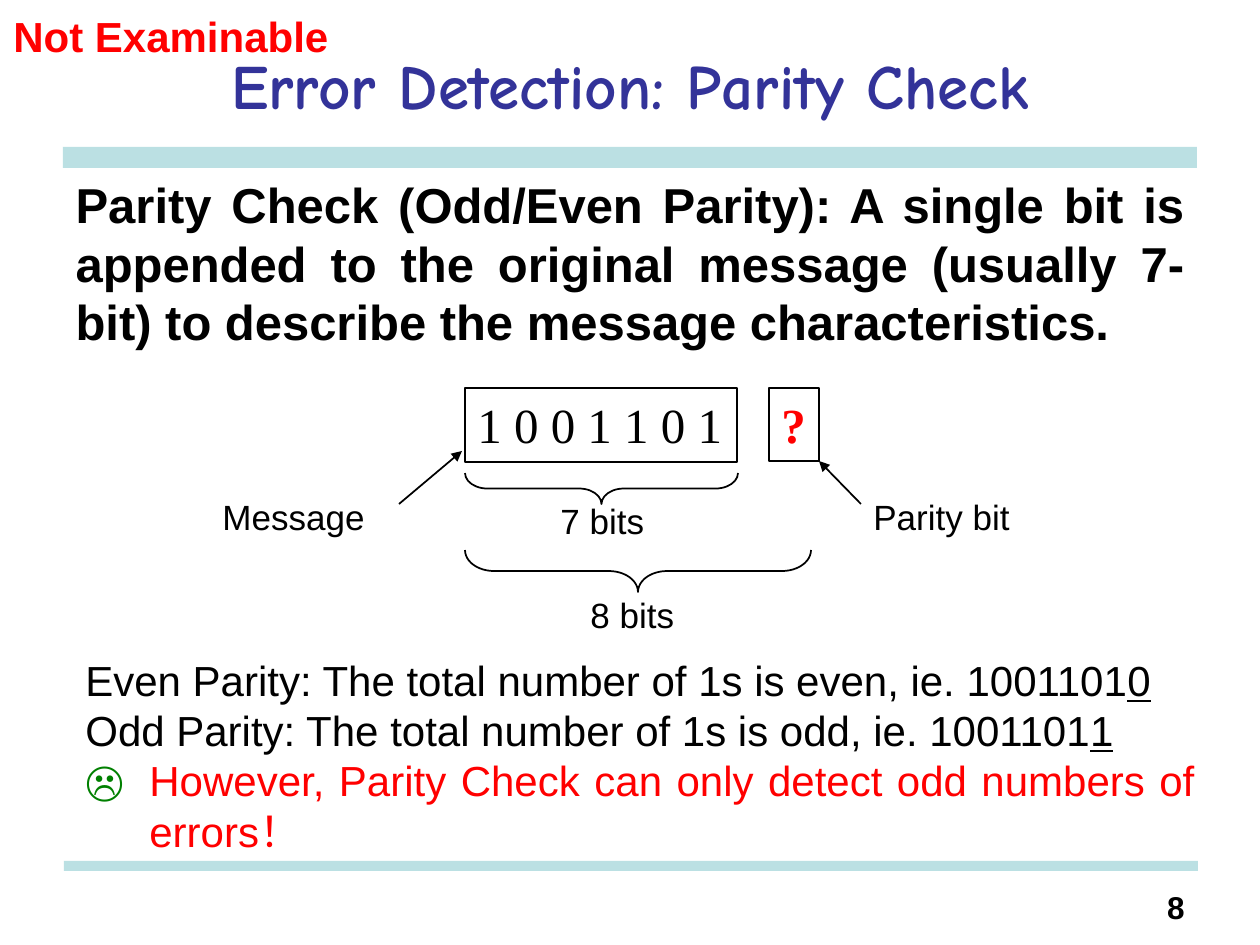
from lxml.etree import SubElement
from pptx import Presentation
from pptx.dml.color import RGBColor
from pptx.enum.shapes import MSO_CONNECTOR as CONN, MSO_SHAPE as SHAPE
from pptx.enum.text import MSO_ANCHOR as ANCHOR, MSO_AUTO_SIZE as FIT, PP_ALIGN as ALIGN
from pptx.oxml.ns import qn
from pptx.util import Emu, Pt

COLORS = {"title": "333399", "bar": "BBE0E3", "ink": "000000", "alert": "FF0000", "face": "008000"}
SERIF = "Times New Roman"
LABEL = {"size": 20}
BODY = {"size": 24}
STRONG = {"size": 28, "bold": True}


def px(n):
    return Emu(round(n * 914400 / 126))


def box(*lengths):
    return [px(n) for n in lengths]


def rgb(name):
    return RGBColor.from_string(COLORS[name])


def add_run(p, text, color="ink", **fmt):
    r = p.add_run()
    r.text = text
    for key, value in {"name": "Arial", **fmt}.items():
        setattr(r.font, key, Pt(value) if key == "size" else value)
    r.font.color.rgb = rgb(color)


def set_frame(tf, **fmt):
    for key, value in {"word_wrap": True, "auto_size": FIT.NONE, **fmt}.items():
        setattr(tf, key, value)
    return tf.paragraphs[0]


def add_text(s, at, text, align=ALIGN.LEFT, wrap=True, **fmt):
    sp = s.shapes.add_textbox(*box(*at))
    p = set_frame(sp.text_frame, word_wrap=wrap)
    p.alignment = align
    add_run(p, text, **fmt)


def fill_placeholder(sp, at, text, align, anchor, **fmt):
    sp.left, sp.top, sp.width, sp.height = box(*at)
    p = set_frame(sp.text_frame, vertical_anchor=anchor)
    p.alignment = align
    add_run(p, text, **fmt)
    return p


def set_indent(p, margin, first):
    pPr = p._p.get_or_add_pPr()
    pPr.set("marL", str(px(margin)))
    pPr.set("indent", str(px(first)))
    return pPr


def add_outline(s, kind, at):
    sp = s.shapes.add_shape(kind, *box(*at))
    sp.shadow.inherit = False
    sp.fill.background()
    sp.line.color.rgb = rgb("ink")
    sp.line.width = Pt(1)
    return sp


def add_bar(s, at):
    sp = s.shapes.add_shape(SHAPE.RECTANGLE, *box(*at))
    sp.shadow.inherit = False
    sp.fill.solid()
    sp.fill.fore_color.rgb = rgb("bar")
    sp.line.fill.background()


def add_bits(s, at, text, **fmt):
    sp = add_outline(s, SHAPE.RECTANGLE, at)
    p = set_frame(sp.text_frame, word_wrap=False, vertical_anchor=ANCHOR.TOP)
    p.alignment = ALIGN.LEFT
    add_run(p, text, name=SERIF, size=28, **fmt)


def add_brace(s, left, top, span, depth, curve):
    shift = (span - depth) / 2
    sp = add_outline(s, SHAPE.LEFT_BRACE, (left + shift, top - shift, depth, span))
    sp.rotation = 270
    sp.adjustments[0] = curve


def add_arrow(s, start, end):
    line = s.shapes.add_connector(CONN.STRAIGHT, *box(*start, *end))
    line.line.color.rgb = rgb("ink")
    line.line.width = Pt(1)
    SubElement(line.line._get_or_add_ln(), qn("a:tailEnd"), type="triangle")
    SubElement(line._element.spPr, qn("a:effectLst"))


def add_rules(s, at, rules):
    tf = s.shapes.add_textbox(*box(*at)).text_frame
    set_frame(tf)
    for i, (align, runs) in enumerate(rules):
        p = tf.add_paragraph() if i else tf.paragraphs[0]
        p.alignment = align
        set_indent(p, 64, -64)
        for text, fmt in runs:
            add_run(p, text, **BODY, **fmt)


def main():
    prs = Presentation()
    prs.slide_width, prs.slide_height = box(1260, 945)
    s = prs.slides.add_slide(prs.slide_layouts[1])
    add_bar(s, (63, 147, 1134, 21))
    add_bar(s, (64, 861, 1134, 10))
    title, body = s.placeholders
    fill_placeholder(title, (63, 21, 1134, 126), "Error Detection: Parity Check", ALIGN.CENTER,
                     ANCHOR.MIDDLE, color="title", name="Comic Neue", size=36, bold=True)
    p = fill_placeholder(body, (63, 168, 1134, 220),
                         "Parity Check (Odd/Even Parity): A single bit is appended to the original "
                         "message (usually 7-bit) to describe the message characteristics.",
                         ALIGN.JUSTIFY, ANCHOR.TOP, **STRONG)
    SubElement(set_indent(p, 0, 0), qn("a:buNone"))

    add_bits(s, (465, 388, 272, 74), "1 0 0 1 1 0 1")
    add_bits(s, (769, 388, 50, 73), "?", color="alert", bold=True)
    add_brace(s, 465, 473, 273, 31, 0.72)
    add_brace(s, 465, 550, 346, 42, 0.69)
    for text, left, top, width in [("7 bits", 548, 493, 108), ("8 bits", 578, 587, 108),
                                   ("Parity bit", 861, 489, 161), ("Message", 210, 489, 168)]:
        add_text(s, (left, top, width, 54), text, wrap=False, **LABEL)
    add_arrow(s, (399, 504), (462, 451))
    add_arrow(s, (861, 504), (819, 461))

    add_rules(s, (73, 648, 1134, 217), [
        (ALIGN.LEFT, [("Even Parity: The total number of 1s is even, ie. 1001101", {}),
                      ("0", {"underline": True})]),
        (ALIGN.LEFT, [("Odd Parity: The total number of 1s is odd, ie. 1001101", {}),
                      ("1", {"underline": True})]),
        (ALIGN.JUSTIFY, [("☹\t", {"color": "face"}),
                         ("However, Parity Check can only detect odd numbers of errors！",
                          {"color": "alert"})]),
    ])
    add_text(s, (1, 4, 368, 63), "Not Examinable", color="alert", bold=True, **BODY)
    add_text(s, (1113, 882, 84, 53), "8", align=ALIGN.RIGHT, size=18, bold=True)
    prs.save("out.pptx")


if __name__ == "__main__":
    main()
